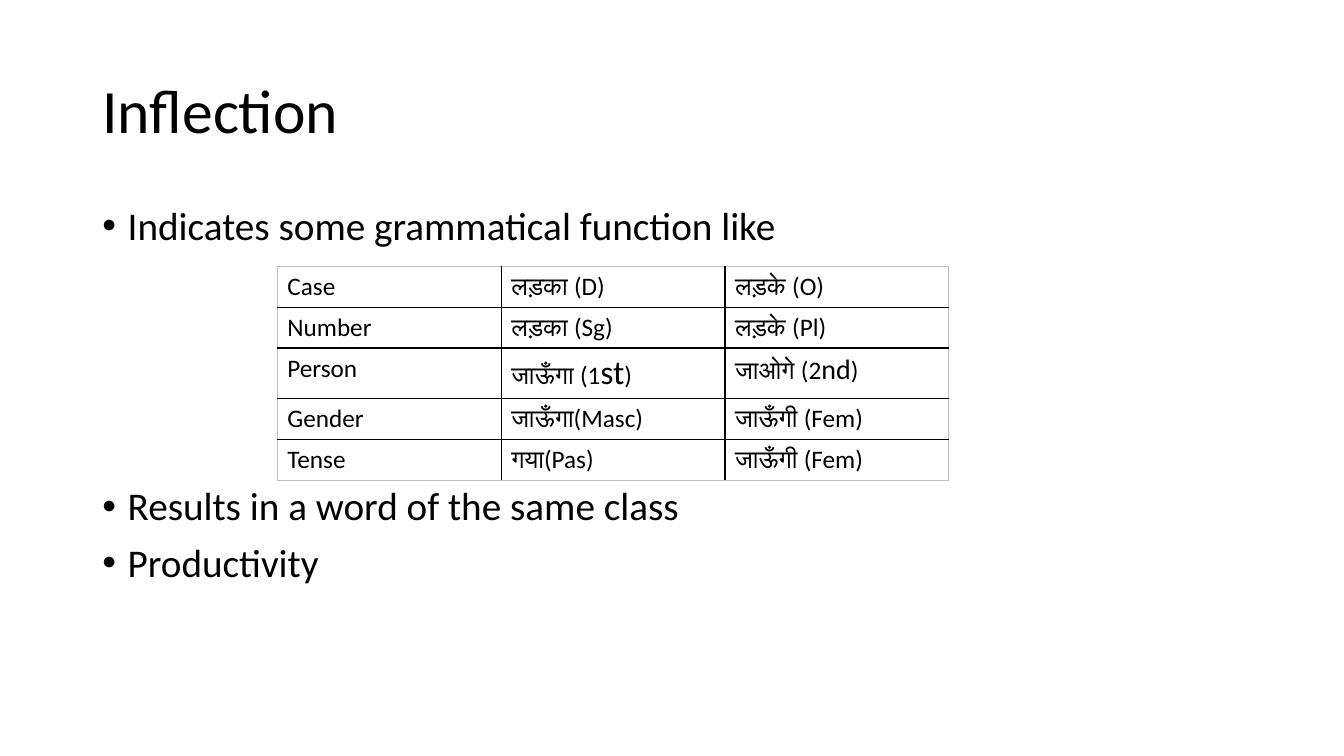
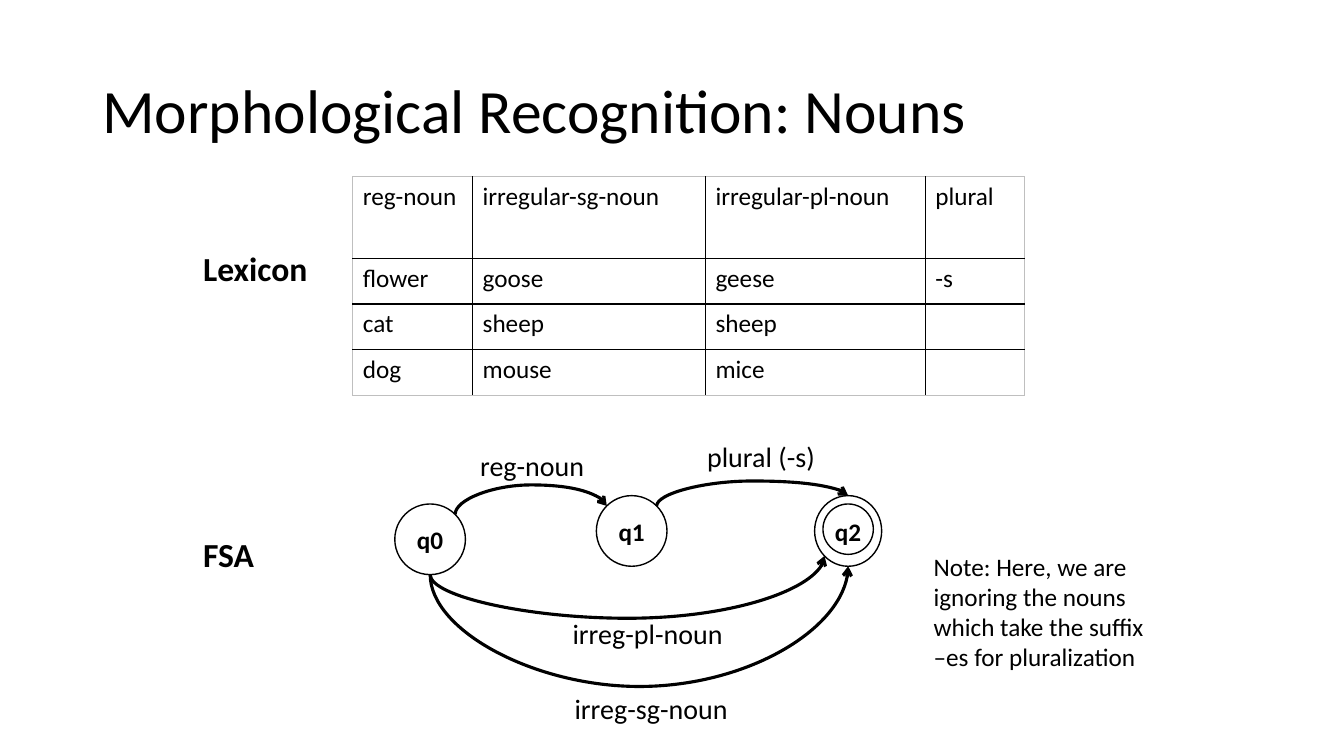
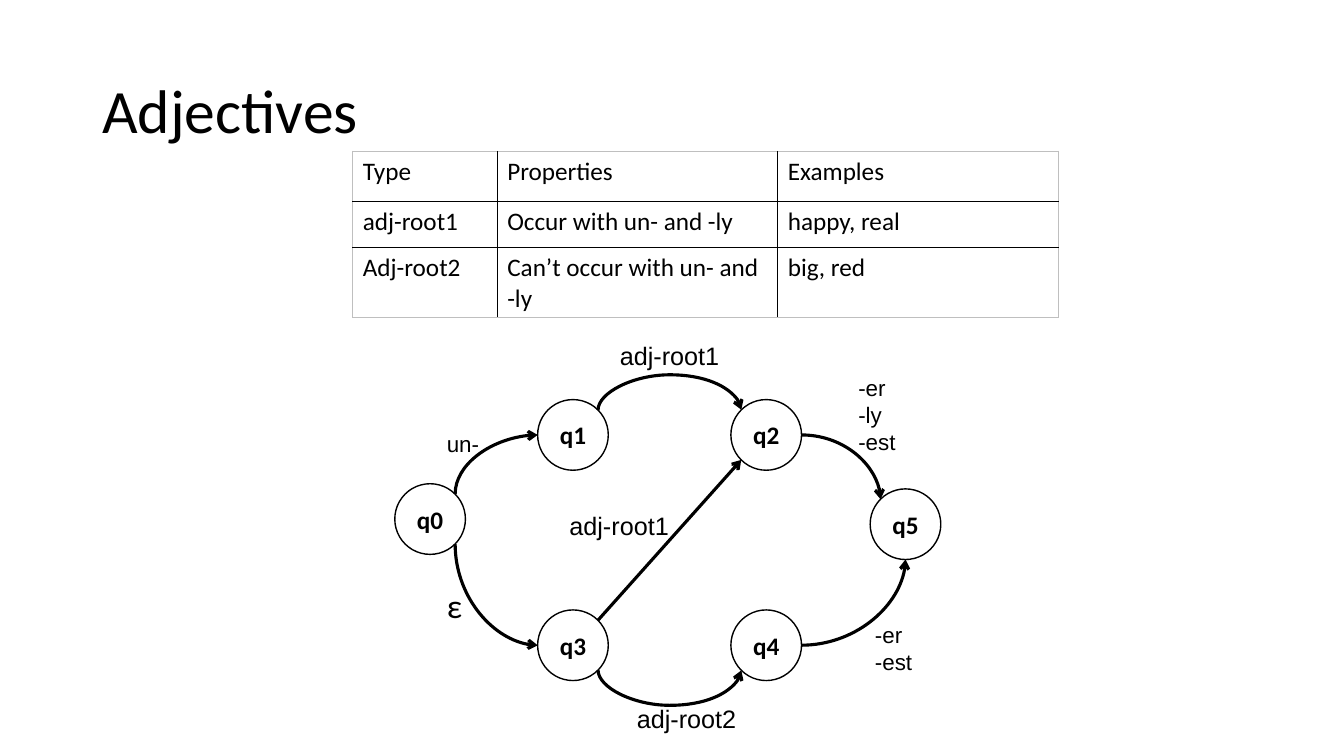
from math import cos, radians, sin

from lxml import etree
from pptx import Presentation
from pptx.dml.color import RGBColor
from pptx.enum.shapes import MSO_CONNECTOR, MSO_SHAPE
from pptx.enum.text import MSO_ANCHOR, PP_ALIGN
from pptx.oxml.ns import qn
from pptx.util import Cm, Pt

CURVE, STRAIGHT = MSO_CONNECTOR.CURVE, MSO_CONNECTOR.STRAIGHT
OVAL = MSO_SHAPE.OVAL
MIDDLE = MSO_ANCHOR.MIDDLE
CENTER = PP_ALIGN.CENTER

BLACK = "000000"
GREY = "BFBFBF"
TITLE_BOX = (2.33, 1.01, 29.21, 3.68)
CIRCLE = 1.78
FLAT = Cm(0.01)

# Connection sites of an ellipse, counter-clockwise from the top
TOP, TOP_LEFT, LEFT, BOTTOM_LEFT, BOTTOM, BOTTOM_RIGHT, RIGHT, TOP_RIGHT = range(8)


def color(value):
    return RGBColor.from_string(value)


def write(frame, lines, size, bold=False, font="Calibri", bullet=False):
    """Fill a text frame; a line is a string or a list of (text, size) runs."""
    for index, line in enumerate(lines):
        paragraph = frame.paragraphs[0] if index == 0 else frame.add_paragraph()
        if bullet:
            properties = paragraph._p.get_or_add_pPr()
            properties.set("marL", str(Cm(0.64)))
            properties.set("indent", str(-Cm(0.64)))
            etree.SubElement(properties, qn("a:buFont")).set("typeface", "Arial")
            etree.SubElement(properties, qn("a:buChar")).set("char", "•")
        for text, run_size in [(line, None)] if isinstance(line, str) else line:
            run = paragraph.add_run()
            run.text = text
            if run_size:
                run.font.size = Pt(run_size)
        paragraph.font.name = font
        paragraph.font.size = Pt(size)
        paragraph.font.bold = bold
        paragraph.font.color.rgb = color(BLACK)


# Circles: name, left, top, width
# Arrows: begin circle, site, end circle, site, kind or depth of the bow in cm
# Labels: lines, left, top, width, height, size, bold, font
slides = [
    {
        "title": "Inflection",
        "table": {
            "at": (6.99, 6.71),
            "columns": [5.64] * 3,
            "rows": [1.03, 1.03, 1.28, 1.03, 1.03],
            "cells": [
                ["Case", "लड़का (D)", "लड़के (O)"],
                ["Number", "लड़का (Sg)", "लड़के (Pl)"],
                ["Person",
                 [("जाऊँगा (1", None), ("st", 24), (")", None)],
                 [("जाओगे (2", None), ("nd", 20), (")", None)]],
                ["Gender", "जाऊँगा(Masc)", "जाऊँगी (Fem)"],
                ["Tense", "गया(Pas)", "जाऊँगी (Fem)"],
            ],
        },
        "bullets": ["Indicates some grammatical function like",
                    "Results in a word of the same class",
                    "Productivity"],
    },
    {
        "title": "Morphological Recognition: Nouns",
        "table": {
            "at": (8.89, 4.45),
            "columns": [3.02, 5.87, 5.54, 2.51],
            "rows": [2.06, 1.15, 1.15, 1.15],
            "cells": [
                ["reg-noun", "irregular-sg-noun", "irregular-pl-noun", "plural"],
                ["flower", "goose", "geese", "-s"],
                ["cat", "sheep", "sheep", ""],
                ["dog", "mouse", "mice", ""],
            ],
        },
        "circles": [
            ("q0", 9.95, 12.7, CIRCLE),
            ("", 20.74, 12.7, 1.27),
            ("q1", 15.03, 12.49, CIRCLE),
            ("q2", 20.53, 12.49, 1.69),
        ],
        "arrows": [
            ("q0", TOP_RIGHT, "q1", TOP_LEFT, -0.74),
            ("q1", TOP_RIGHT, "q2", TOP, -0.63),
            ("q0", BOTTOM, "q2", BOTTOM_LEFT, 1.1),
            ("q0", BOTTOM, "q2", BOTTOM, 2.82),
        ],
        "labels": [
            (["reg-noun"], 11.85, 11.18, 3.2, 1.11, 20, False, "Calibri"),
            (["plural (-s)"], 17.57, 10.95, 3.3, 1.11, 20, False, "Calibri"),
            (["irreg-pl-noun"], 14.18, 15.4, 4.4, 1.11, 20, False, "Calibri"),
            (["irreg-sg-noun"], 14.23, 17.31, 4.5, 1.11, 20, False, "Calibri"),
            (["Note: Here, we are ignoring the nouns which take the suffix "
              "–es for pluralization"], 23.28, 13.76, 5.93, 3.33, 18, False, "Calibri"),
            (["Lexicon"], 4.87, 6.13, 3.6, 1.28, 24, True, "Calibri"),
            (["FSA"], 4.87, 13.32, 3.6, 1.28, 24, True, "Calibri"),
        ],
    },
    {
        "title": "Adjectives",
        "table": {
            "at": (8.89, 3.81),
            "columns": [3.64, 7.07, 7.07],
            "rows": [1.27, 1.15, 1.78],
            "cells": [
                ["Type", "Properties", "Examples"],
                ["adj-root1", "Occur with un- and -ly", "happy, real"],
                ["Adj-root2", "Can’t occur with un- and -ly", "big, red"],
            ],
        },
        "circles": [
            ("q0", 9.95, 12.19, CIRCLE),
            ("q3", 13.55, 15.37, CIRCLE),
            ("q4", 18.42, 15.37, CIRCLE),
            ("q5", 21.93, 12.32, CIRCLE),
            ("q2", 18.42, 10.07, CIRCLE),
            ("q1", 13.55, 10.07, CIRCLE),
        ],
        "arrows": [
            ("q0", TOP_RIGHT, "q1", LEFT, "quarter"),
            ("q1", TOP_RIGHT, "q2", TOP_LEFT, -0.89),
            ("q2", RIGHT, "q5", TOP_LEFT, "quarter"),
            ("q0", BOTTOM_RIGHT, "q3", LEFT, "quarter"),
            ("q3", BOTTOM_RIGHT, "q4", BOTTOM_LEFT, 0.89),
            ("q4", RIGHT, "q5", BOTTOM, "quarter"),
            ("q3", TOP_RIGHT, "q2", BOTTOM_LEFT, "straight"),
        ],
        "labels": [
            (["un-"], 11.01, 10.72, 1.7, 0.94, 16, False, "Arial"),
            (["ε"], 11.01, 14.61, 1.7, 1.28, 24, False, "Calibri"),
            (["adj-root1"], 15.37, 8.46, 3.1, 1.03, 18, False, "Arial"),
            (["adj-root2"], 15.8, 17.6, 3.1, 1.03, 18, False, "Arial"),
            (["adj-root1"], 14.1, 12.73, 3.1, 1.03, 18, False, "Arial"),
            (["-er", "-ly", "-est"], 21.38, 9.31, 1.9, 2.31, 16, False, "Arial"),
            (["-er", "-est"], 21.8, 15.53, 1.9, 1.62, 16, False, "Arial"),
        ],
    },
]

presentation = Presentation()
presentation.slide_width, presentation.slide_height = Cm(33.87), Cm(19.05)

for content in slides:
    slide = presentation.slides.add_slide(presentation.slide_layouts[6])
    shapes = slide.shapes

    title = shapes.add_textbox(*map(Cm, TITLE_BOX)).text_frame
    title.word_wrap = True
    title.vertical_anchor = MIDDLE
    write(title, [content["title"]], 44)
    title.paragraphs[0].line_spacing = 0.9

    if "bullets" in content:
        body = shapes.add_textbox(Cm(2.33), Cm(5.08), Cm(29.21), Cm(12.09)).text_frame
        body.word_wrap = True
        write(body, content["bullets"], 28, bullet=True)
        # The second bullet stands below the table
        for paragraph, space in zip(body.paragraphs, (0, 170, 10)):
            paragraph.line_spacing = 0.9
            paragraph.space_before = Pt(space)

    grid = content["table"]
    columns, rows = grid["columns"], grid["rows"]
    table = shapes.add_table(len(rows), len(columns), *map(Cm, grid["at"]),
                             Cm(sum(columns)), Cm(sum(rows))).table
    table.first_row = table.horz_banding = False
    for column, width in zip(table.columns, columns):
        column.width = Cm(width)
    for r, height in enumerate(rows):
        table.rows[r].height = Cm(height)
        for c in range(len(columns)):
            cell = table.cell(r, c)
            write(cell.text_frame, [grid["cells"][r][c]], 18)
            outer_sides = {"a:lnL": c == 0, "a:lnR": c == len(columns) - 1,
                           "a:lnT": r == 0, "a:lnB": r == len(rows) - 1}
            for side, outer in outer_sides.items():
                border = etree.SubElement(cell._tc.get_or_add_tcPr(), qn(side))
                border.set("w", str(Pt(0.75 if outer else 1)))
                fill = etree.SubElement(border, qn("a:solidFill"))
                etree.SubElement(fill, qn("a:srgbClr")).set("val", GREY if outer else BLACK)
            cell.fill.background()

    circles = {}
    for name, left, top, width in content.get("circles", []):
        circle = shapes.add_shape(OVAL, Cm(left), Cm(top), Cm(width),
                                  Cm(CIRCLE if name else width))
        circle.shadow.inherit = False
        circle.fill.background()
        circle.line.color.rgb = color(BLACK)
        circle.line.width = Pt(1)
        if name:
            circle.text_frame.word_wrap = False
            circle.text_frame.vertical_anchor = MIDDLE
            write(circle.text_frame, [name], 18, bold=True)
            circle.text_frame.paragraphs[0].alignment = CENTER
            circles[name] = circle

    for begin, begin_site, end, end_site, bend in content.get("arrows", []):
        joints = [("a:stCxn", circles[begin], begin_site), ("a:endCxn", circles[end], end_site)]
        points = []
        for _, circle, site in joints:
            angle = radians(90 + 45 * site)
            points += [round(circle.left + circle.width / 2 * (1 + cos(angle))),
                       round(circle.top + circle.height / 2 * (1 - sin(angle)))]
        x1, y1, x2, y2 = points

        if bend == "straight":
            arrow = shapes.add_connector(STRAIGHT, x1, y1, x2, y2)
        else:
            bowed = bend != "quarter"
            rise = y2 - y1
            if bowed and abs(rise) < FLAT:
                rise = FLAT if bend > 0 else -FLAT
            width, height = x2 - x1, abs(rise)
            # A curve that leaves its circle vertically is a turned one
            if begin_site == RIGHT:
                turn, flips = 0, "V" if rise < 0 else ""
            else:
                turn, flips = (90, "HV") if rise < 0 else (270, "H")
                width, height = height, width
            left = (x1 + x2 - width) // 2
            top = (y1 + y2 - height) // 2
            arrow = shapes.add_connector(CURVE, left, top, left + width, top + height)
            transform = arrow._element.spPr.find(qn("a:xfrm"))
            if turn:
                transform.set("rot", str(turn * 60000))
            for flip in flips:
                transform.set("flip" + flip, "1")
            geometry = arrow._element.spPr.find(qn("a:prstGeom"))
            geometry.set("prst", "curvedConnector3" if bowed else "curvedConnector2")
            if bowed:
                guide = etree.SubElement(geometry.find(qn("a:avLst")), qn("a:gd"))
                guide.set("name", "adj1")
                guide.set("fmla", f"val {round(Cm(bend) / rise * 100000)}")

        for tag, circle, site in joints:
            joint = etree.SubElement(arrow._element.nvCxnSpPr.cNvCxnSpPr, qn(tag))
            joint.set("id", str(circle.shape_id))
            joint.set("idx", str(site))
        arrow.line.color.rgb = color(BLACK)
        arrow.line.width = Pt(2.25)
        outline = arrow._element.spPr.find(qn("a:ln"))
        etree.SubElement(outline, qn("a:tailEnd")).set("type", "arrow")
        etree.SubElement(arrow._element.spPr, qn("a:effectLst"))

    for lines, left, top, width, height, size, bold, font in content.get("labels", []):
        label = shapes.add_textbox(Cm(left), Cm(top), Cm(width), Cm(height)).text_frame
        label.word_wrap = True
        write(label, lines, size, bold, font)

presentation.save("out.pptx")
